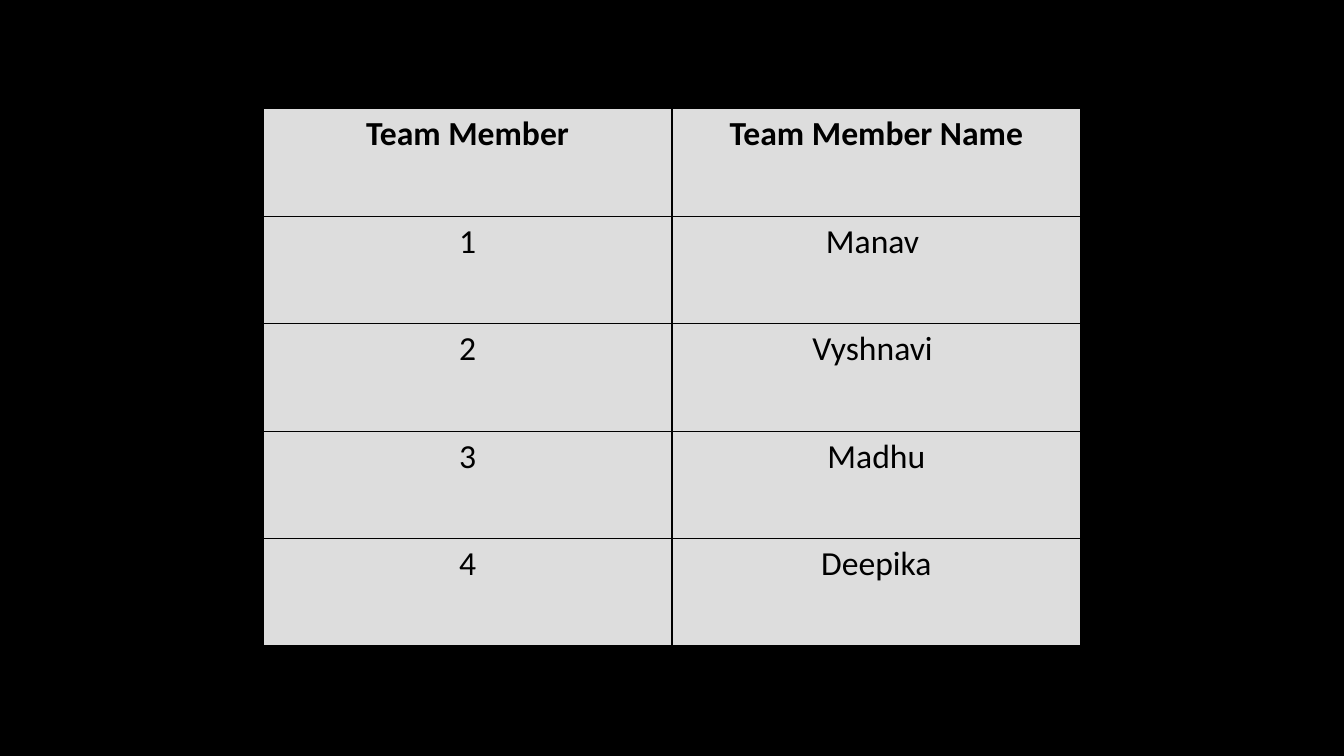
from lxml.etree import SubElement
from pptx import Presentation
from pptx.dml.color import RGBColor
from pptx.enum.text import PP_ALIGN
from pptx.oxml.ns import qn
from pptx.util import Inches, Pt


def color(code):
    return RGBColor.from_string(code)


class Deck:
    font = "Calibri"
    size = 24
    ink = "000000"
    paper = "DDDDDD"

    def __init__(self, show):
        self.slide = show.slides.add_slide(show.slide_layouts[6])

    def back(self, code):
        fill = self.slide.background.fill
        fill.solid()
        fill.fore_color.rgb = color(code)

    def border(self, cell):
        props = cell._tc.get_or_add_tcPr()
        for side in ("lnL", "lnR", "lnT", "lnB"):
            line = SubElement(props, qn(f"a:{side}"), w=str(Pt(1)))
            fill = SubElement(line, qn("a:solidFill"))
            SubElement(fill, qn("a:srgbClr"), val=self.ink)

    def cell(self, cell, text, bold):
        # Borders come before the fill in the cell properties
        self.border(cell)
        cell.fill.solid()
        cell.fill.fore_color.rgb = color(self.paper)
        cell.text_frame.text = text
        para = cell.text_frame.paragraphs[0]
        para.alignment = PP_ALIGN.CENTER
        font = para.runs[0].font
        font.name, font.size, font.bold = self.font, Pt(self.size), bold
        font.color.rgb = color(self.ink)

    def table(self, rows, left, top, width, height):
        frame = self.slide.shapes.add_table(
            len(rows), len(rows[0]),
            Inches(left), Inches(top), Inches(width), Inches(height))
        grid = frame.table
        for r, row in enumerate(rows):
            for c, text in enumerate(row):
                self.cell(grid.cell(r, c), text, r == 0)


def main():
    show = Presentation()
    show.slide_width, show.slide_height = Inches(13.33), Inches(7.5)
    deck = Deck(show)
    deck.back("000000")

    # Team list: header, then numbered members
    names = ["Manav ", "Vyshnavi ", "Madhu", "Deepika"]
    rows = [("Team Member", "Team Member Name")]
    rows += [(str(n), name) for n, name in enumerate(names, 1)]
    deck.table(rows, 2.61, 1.08, 8.11, 5.33)

    show.save("out.pptx")


if __name__ == "__main__":
    main()
